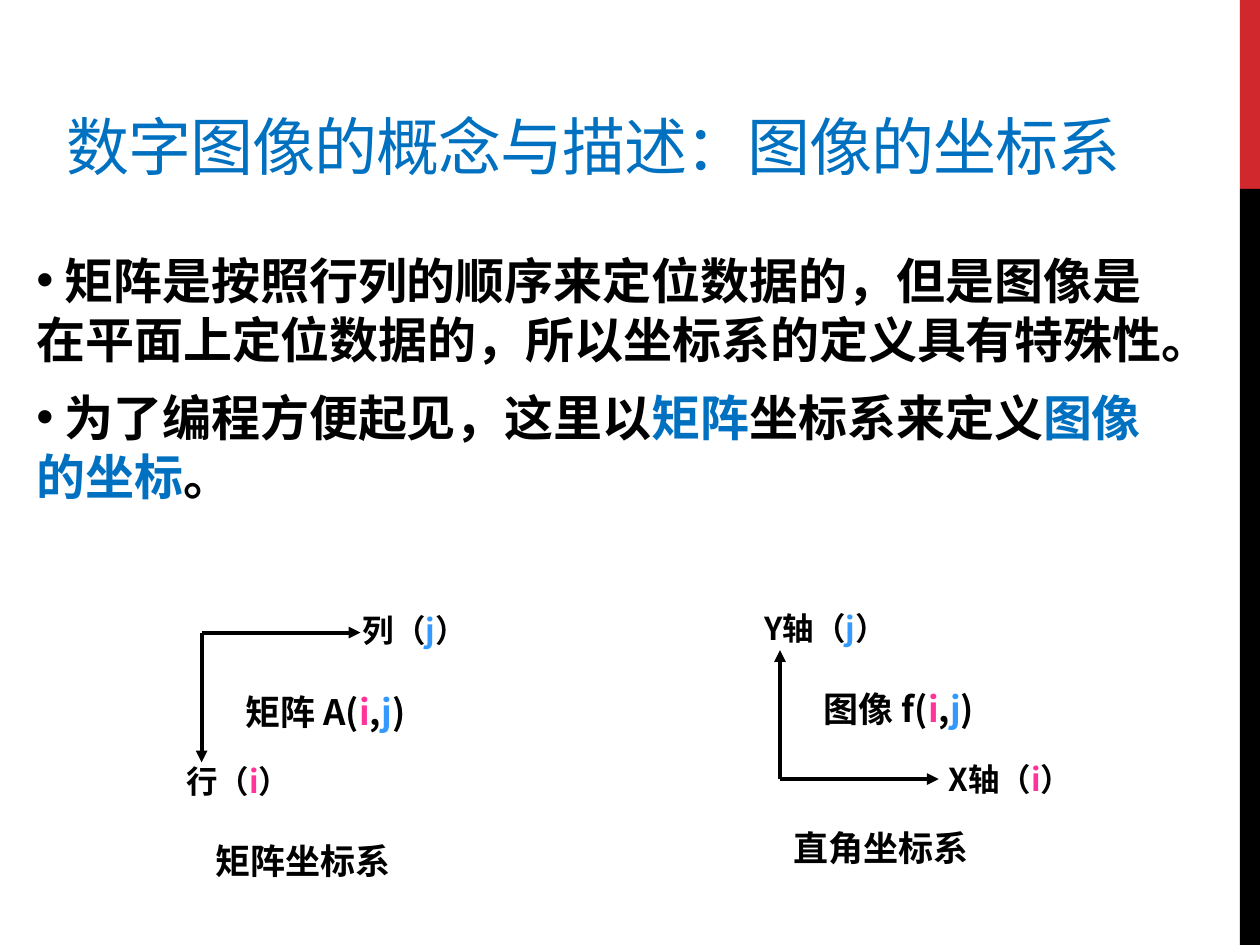
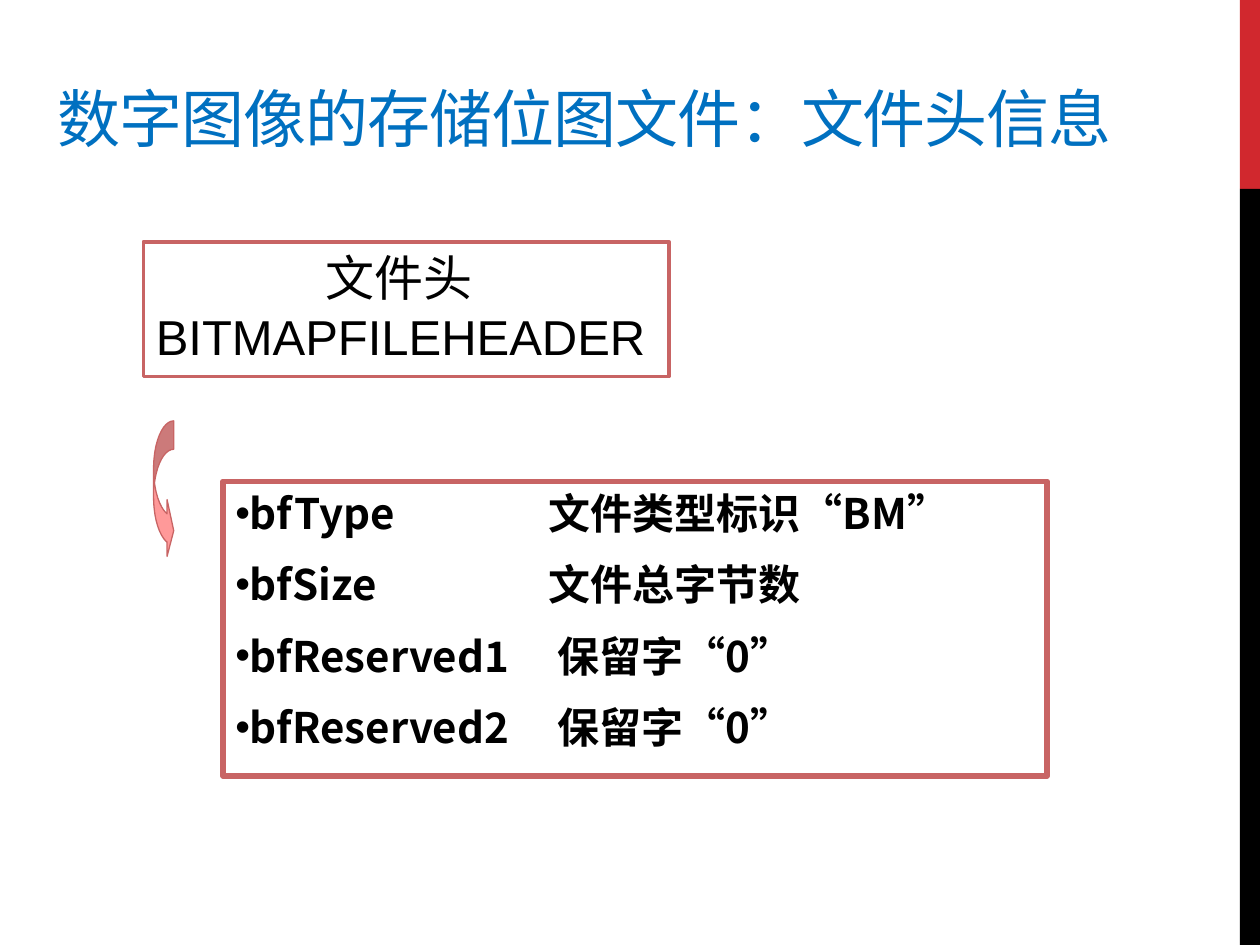
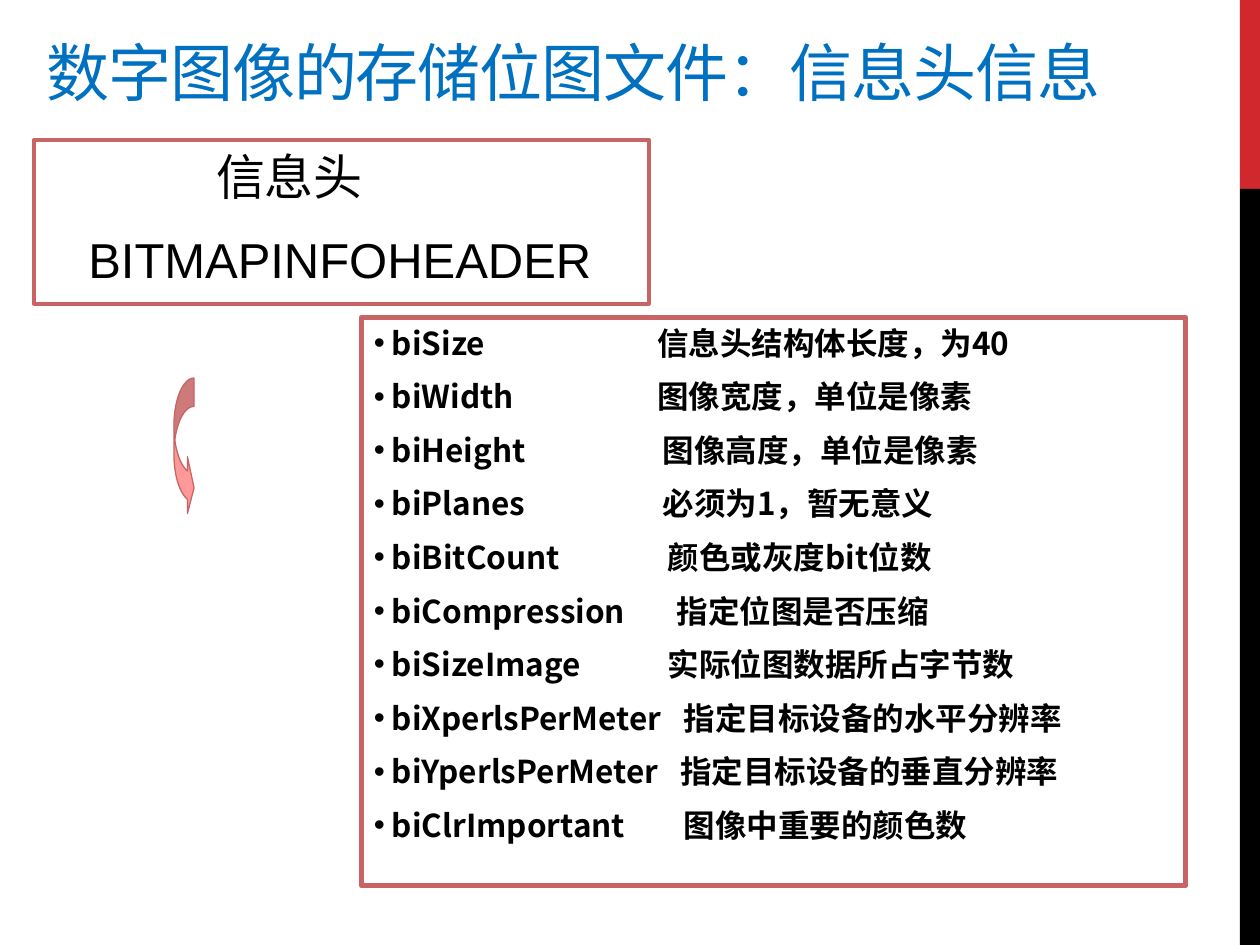
from lxml.etree import SubElement
from pptx import Presentation
from pptx.dml.color import RGBColor
from pptx.enum.shapes import MSO_CONNECTOR, MSO_SHAPE
from pptx.enum.text import MSO_ANCHOR
from pptx.oxml.ns import qn
from pptx.util import Pt

HUES = {
    "ink": "000000",
    "paper": "FFFFFF",
    "band": "D1282E",
    "head": "0070C0",
    "frame": "C86464",
    "arrow": "FF9999",
    "row": "FF3399",
    "col": "3399FF",
}
SANS = "Noto Sans CJK SC"


def hue(name):
    return RGBColor.from_string(HUES[name])


class Deck:
    def __init__(self):
        self.file = Presentation()
        self.file.slide_width, self.file.slide_height = Pt(720), Pt(540)
        self.slide = None

    def page(self, title, left, top, width, height):
        self.slide = self.file.slides.add_slide(self.file.slide_layouts[6])
        self.shape(MSO_SHAPE.RECTANGLE, (708.5, 0, 11.5, 108), "band")
        self.shape(MSO_SHAPE.RECTANGLE, (708.5, 108, 11.5, 432), "ink")
        box = self.text((left, top, width, height), [title], 36, bold=False, tint="head")
        box.text_frame.vertical_anchor = MSO_ANCHOR.BOTTOM
        box.text_frame.paragraphs[0]._p.pPr.find(qn("a:defRPr")).set("spc", "-60")

    def shape(self, kind, area, fill, line=None, weight=1):
        item = self.slide.shapes.add_shape(kind, *map(Pt, area))
        item.shadow.inherit = False
        item.fill.solid()
        item.fill.fore_color.rgb = hue(fill)
        if line:
            item.line.color.rgb = hue(line)
            item.line.width = Pt(weight)
        else:
            item.line.fill.background()
        return item

    def text(self, area, lines, size, **style):
        box = self.slide.shapes.add_textbox(*map(Pt, area))
        self.label(box, lines, size, **style)
        return box

    def frame(self, area, lines, size, weight, **style):
        box = self.shape(MSO_SHAPE.RECTANGLE, area, "paper", "frame", weight)
        self.label(box, lines, size, **style)

    def label(self, box, lines, size, bold=True, tint="ink", face=SANS,
              dot=False, tabs=(), dents=(), gap=0, after=0):
        frame = box.text_frame
        frame.word_wrap = True
        frame.vertical_anchor = MSO_ANCHOR.TOP
        for num, line in enumerate(lines):
            para = frame.add_paragraph() if num else frame.paragraphs[0]
            for part in [line] if isinstance(line, str) else line:
                words, shade = (part, None) if isinstance(part, str) else part
                run = para.add_run()
                run.text = words
                if shade:
                    run.font.color.rgb = hue(shade)
            props = para._p.get_or_add_pPr()
            props.set("algn", "l")
            props.set("marL", "0")
            props.set("indent", str(Pt(dents[num]) if dents else 0))
            if dot:
                SubElement(props, qn("a:buFont"), typeface="Arial")
                SubElement(props, qn("a:buChar"), char="•")
            if tabs:
                stops = SubElement(props, qn("a:tabLst"))
                SubElement(stops, qn("a:tab"), pos=str(Pt(tabs[num])), algn="l")
            para.space_before = Pt(gap if num else 0)
            para.space_after = Pt(after)
            font = para.font
            font.name, font.size, font.bold = face, Pt(size), bold
            font.color.rgb = hue(tint)
            SubElement(props.find(qn("a:defRPr")), qn("a:ea"), typeface=SANS)

    def axis(self, start, end):
        line = self.slide.shapes.add_connector(
            MSO_CONNECTOR.STRAIGHT, *map(Pt, start + end))
        line.line.color.rgb = hue("ink")
        line.line.width = Pt(2.25)
        props = line._element.spPr
        SubElement(props.find(qn("a:ln")), qn("a:tailEnd"), type="triangle")
        SubElement(props, qn("a:effectLst"))

    def curve(self, left, top):
        item = self.shape(MSO_SHAPE.CURVED_RIGHT_ARROW, (left, top, 11.5, 79),
                          "arrow", "frame", 0.75)
        for num, value in enumerate((1.41, 2.82, 0.33)):
            item.adjustments[num] = value

    def table(self, area, rows, size):
        self.frame(area, [f"{name}\t{note}" for name, note, stop in rows], size, 3,
                   dot=True, tabs=[stop for name, note, stop in rows], gap=size / 2)


def axes(deck):
    deck.page("数字图像的概念与描述：图像的坐标系", 31, 0, 652, 108)
    deck.text((13.7, 139.7, 669.6, 191), [
        " 矩阵是按照行列的顺序来定位数据的，但是图像是在平面上定位数据的，所以坐标系的定义具有特殊性。",
        [" 为了编程方便起见，这里以", ("矩阵", "head"), "坐标系来定义",
         ("图像的坐标", "head"), "。"],
    ], 28, dot=True, gap=5, after=6)
    row, col = ("i", "row"), ("j", "col")
    for start, end in (
        ((115.2, 361.5), (206, 361.5)),
        ((115.2, 361.5), (115.2, 435.6)),
        ((445.7, 445.2), (536.4, 445.2)),
        ((445.7, 445.2), (445.7, 371.5)),
    ):
        deck.axis(start, end)
    for left, top, width, name, mark in (
        (99.4, 432, 79.2, "行（", row),
        (200.2, 345.6, 79.2, "列（", col),
        (535, 430.6, 102.2, "X轴（", row),
        (429.8, 344.2, 113, "Y轴（", col),
    ):
        deck.text((left, top, width, 28.8), [[name, mark, "）"]], 18)
    for left, top, line in (
        (133.2, 391, ["矩阵 A(", row, ",", col, ")"]),
        (116, 476, "矩阵坐标系"),
        (463.7, 389.5, ["图像 f(", row, ",", col, ")"]),
        (446.4, 468.7, "直角坐标系"),
    ):
        deck.text((left, top, 153.4, 31), [line], 20)


def header(deck):
    deck.page("数字图像的存储位图文件：文件头信息", 26, 32.4, 660, 59.8)
    deck.frame((82, 138.2, 300.2, 77), ["文件头 BITMAPFILEHEADER"], 28, 2.25,
               bold=False, face="Arial", dents=[97])
    deck.table((127.4, 275, 471, 168.5), [
        ("bfType", "文件类型标识“BM”", 179),
        ("bfSize", "文件总字节数", 179),
        ("bfReserved1", "保留字“0”", 184),
        ("bfReserved2", "保留字“0”", 184),
    ], 24)
    deck.curve(87.8, 240.5)


def info(deck):
    deck.page("数字图像的存储位图文件：信息头信息", 19.4, 10.8, 660, 55.4)
    deck.table((206.6, 181.4, 471, 324.7), [
        (" biSize", "信息头结构体长度，为40", 162),
        (" biWidth", "图像宽度，单位是像素", 162),
        (" biHeight", "图像高度，单位是像素", 165),
        (" biPlanes", "必须为1，暂无意义", 165),
        (" biBitCount", "颜色或灰度bit位数", 168),
        (" biCompression", "指定位图是否压缩", 173),
        (" biSizeImage", "实际位图数据所占字节数", 168),
        (" biXperlsPerMeter", "指定目标设备的水平分辨率", 177),
        (" biYperlsPerMeter", "指定目标设备的垂直分辨率", 175),
        (" biClrImportant", "图像中重要的颜色数", 177),
    ], 18)
    deck.curve(99.4, 216)
    deck.frame((19.4, 80, 351.4, 93.6), ["信息头", "BITMAPINFOHEADER"], 28, 2.25,
               bold=False, face="Arial", dents=[97, 24], gap=14)


def main():
    deck = Deck()
    for build in (axes, header, info):
        build(deck)
    deck.file.save("out.pptx")


if __name__ == "__main__":
    main()
